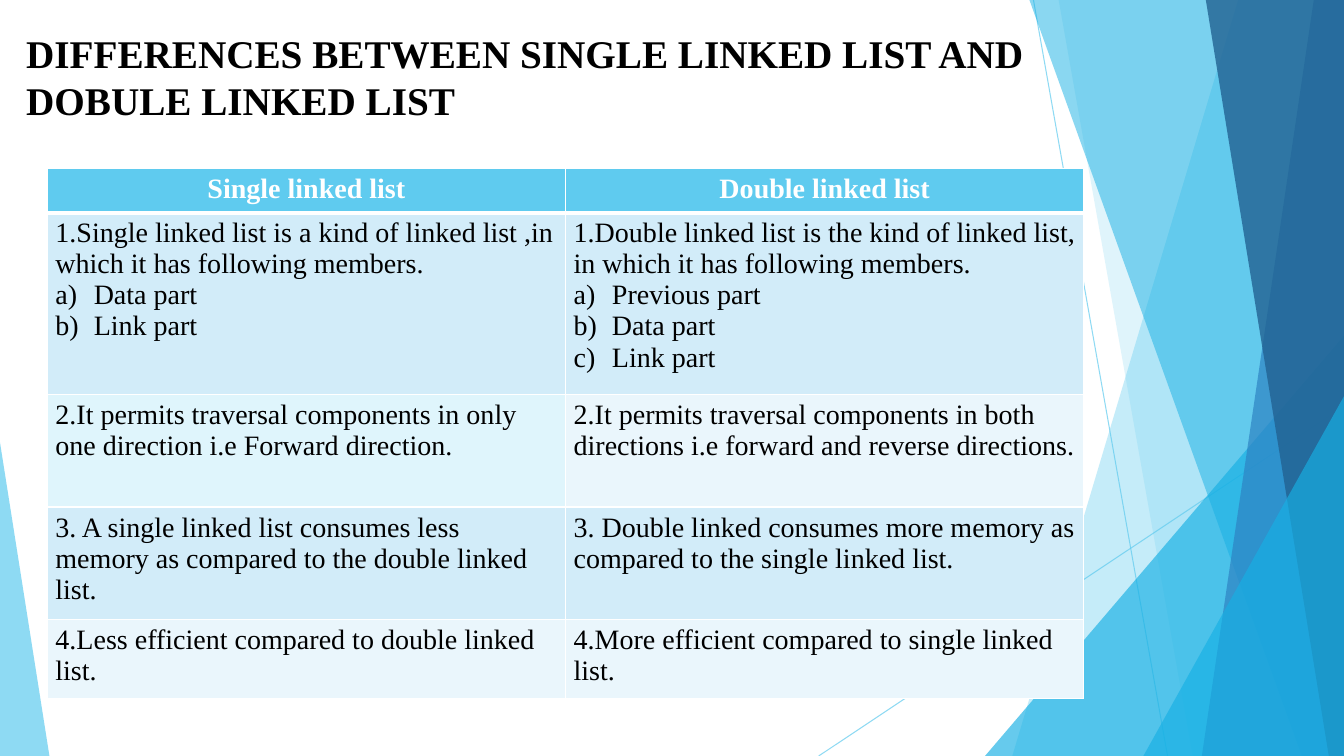
from dataclasses import dataclass

from lxml.etree import SubElement
from pptx import Presentation
from pptx.dml.color import RGBColor
from pptx.enum.shapes import MSO_CONNECTOR as Connector, MSO_SHAPE as Preset
from pptx.enum.text import MSO_ANCHOR as Anchor, MSO_AUTO_SIZE as AutoSize, PP_ALIGN as Align
from pptx.oxml.ns import qn
from pptx.util import Inches, Pt

BLACK = RGBColor(0x00, 0x00, 0x00)
WHITE = RGBColor(0xFF, 0xFF, 0xFF)
SKY = RGBColor(0x5F, 0xCB, 0xEF)
CYAN = RGBColor(0x17, 0xB0, 0xE4)
BLUE = RGBColor(0x2E, 0x83, 0xC3)
NAVY = RGBColor(0x22, 0x62, 0x92)
BAND_DARK = RGBColor(0xD2, 0xEC, 0xF9)
BAND_LIGHT = RGBColor(0xEA, 0xF6, 0xFC)
BAND_AQUA = RGBColor(0xDF, 0xF5, 0xFC)
FONT = "Times New Roman"
WIDTH, HEIGHT = 13.33, 7.5


@dataclass
class Ray:
    start: tuple[float, float]
    end: tuple[float, float]


@dataclass
class Shard:
    top_left: float
    bottom_left: float
    color: RGBColor
    opacity: int


@dataclass
class Triangle:
    left: float
    top: float
    width: float
    apex: float
    color: RGBColor
    opacity: int


@dataclass
class Entry:
    text: str
    fill: RGBColor
    members: tuple[str, ...] = ()


RAYS = [Ray((10.25, 0), (11.58, HEIGHT)), Ray((WIDTH, 4.03), (8.12, HEIGHT))]
FACETS = [
    Shard(12.28, 10.04, SKY, 36),
    Shard(10.5, 11.83, SKY, 20),
    Triangle(9.77, 3.33, 3.56, 1, CYAN, 66),
    Shard(10.21, 12.91, CYAN, 50),
    Shard(13.03, 11.92, BLUE, 70),
    Shard(11.96, 13.18, NAVY, 80),
    Triangle(11.34, 3.93, 1.99, 1, CYAN, 66),
    Triangle(0, 4.39, 0.49, 0, SKY, 70),
]
HEADINGS = ["Single linked list", "Double linked list"]
ROW_HEIGHTS = [0.44, 1.8, 1.12, 1.12, 0.78]
ENTRIES = [
    [
        Entry("1.Single linked list is a kind of linked list ,in which it has following members.",
              BAND_DARK, ("Data part", "Link part")),
        Entry("1.Double linked list is the kind of linked list, in which it has following members.",
              BAND_DARK, ("Previous part", "Data part", "Link part")),
    ],
    [
        Entry("2.It permits traversal components in only one direction i.e Forward direction.", BAND_AQUA),
        Entry("2.It permits traversal components in both directions i.e forward and reverse directions.",
              BAND_LIGHT),
    ],
    [
        Entry("3. A single linked list consumes less memory as compared to the double linked list.", BAND_DARK),
        Entry("3. Double linked consumes more memory as compared to the single linked list.", BAND_DARK),
    ],
    [
        Entry("4.Less efficient compared to double linked list.", BAND_LIGHT),
        Entry("4.More efficient compared to single linked list.", BAND_LIGHT),
    ],
]


def set_opacity(fill_parent, opacity: int) -> None:
    color = next(fill_parent.iter(qn("a:srgbClr")))
    SubElement(color, qn("a:alpha"), val=str(opacity * 1000))


def draw_ray(page, ray: Ray) -> None:
    line = page.shapes.add_connector(
        Connector.STRAIGHT, *(Inches(value) for value in (*ray.start, *ray.end)))
    line.line.color.rgb = SKY
    line.line.width = Pt(0.75)
    properties = line.element.spPr
    set_opacity(properties, 70)
    SubElement(properties, qn("a:effectLst"))


def draw_facet(page, facet: Shard | Triangle) -> None:
    if isinstance(facet, Shard):
        builder = page.shapes.build_freeform(Inches(facet.top_left), 0)
        corners = [(WIDTH, 0), (WIDTH, HEIGHT), (facet.bottom_left, HEIGHT)]
        builder.add_line_segments([(Inches(x), Inches(y)) for x, y in corners])
        shape = builder.convert_to_shape()
    else:
        shape = page.shapes.add_shape(
            Preset.ISOSCELES_TRIANGLE, Inches(facet.left), Inches(facet.top),
            Inches(facet.width), Inches(HEIGHT - facet.top))
        shape.adjustments[0] = facet.apex
    shape.shadow.inherit = False
    shape.fill.solid()
    shape.fill.fore_color.rgb = facet.color
    shape.line.fill.background()
    set_opacity(shape.element.spPr, facet.opacity)


def add_span(para, text: str, size: float, color: RGBColor, bold: bool) -> None:
    span = para.add_run()
    span.text = text
    span.font.name = FONT
    span.font.size = Pt(size)
    span.font.bold = bold
    span.font.color.rgb = color


def write_title(page, text: str) -> None:
    title = page.shapes.title
    title.left, title.top = Inches(0.16), Inches(0.24)
    title.width, title.height = Inches(11.72), Inches(1.25)
    title.element.getparent().append(title.element)
    frame = title.text_frame
    frame.word_wrap = True
    frame.auto_size = AutoSize.NONE
    frame.vertical_anchor = Anchor.TOP
    para = frame.paragraphs[0]
    para.alignment = Align.LEFT
    add_span(para, text, 28, BLACK, True)


def style_cell(cell, fill: RGBColor, bottom: float = 1, top: float = 1) -> None:
    cell.margin_left = cell.margin_right = Inches(0.08)
    cell.margin_top = cell.margin_bottom = Inches(0.05)
    properties = cell._tc.get_or_add_tcPr()
    for side, width in (("L", 1), ("R", 1), ("T", top), ("B", bottom)):
        border = SubElement(properties, qn(f"a:ln{side}"), w=str(Pt(width)))
        SubElement(SubElement(border, qn("a:solidFill")), qn("a:srgbClr"), val=str(WHITE))
    cell.fill.solid()
    cell.fill.fore_color.rgb = fill


def write_entry(cell, entry: Entry) -> None:
    frame = cell.text_frame
    add_span(frame.paragraphs[0], entry.text, 20, BLACK, False)
    for member in entry.members:
        para = frame.add_paragraph()
        properties = para._p.get_or_add_pPr()
        properties.set("marL", str(Inches(0.38)))
        properties.set("indent", str(-Inches(0.38)))
        SubElement(properties, qn("a:buFont"), typeface=FONT)
        SubElement(properties, qn("a:buAutoNum"), type="alphaLcParenR")
        add_span(para, member, 20, BLACK, False)


def draw_comparison(page) -> None:
    table = page.shapes.add_table(
        len(ROW_HEIGHTS), len(HEADINGS), Inches(0.47), Inches(1.67),
        Inches(10.28), Inches(sum(ROW_HEIGHTS))).table
    for row, height in zip(table.rows, ROW_HEIGHTS):
        row.height = Inches(height)
    for column, heading in enumerate(HEADINGS):
        cell = table.cell(0, column)
        style_cell(cell, SKY, bottom=3)
        para = cell.text_frame.paragraphs[0]
        para.alignment = Align.CENTER
        add_span(para, heading, 20, WHITE, True)
    for row, entries in enumerate(ENTRIES, start=1):
        for column, entry in enumerate(entries):
            cell = table.cell(row, column)
            style_cell(cell, entry.fill, top=3 if row == 1 else 1)
            write_entry(cell, entry)


def main() -> None:
    deck = Presentation()
    deck.slide_width, deck.slide_height = Inches(WIDTH), Inches(HEIGHT)
    page = deck.slides.add_slide(deck.slide_layouts[5])
    for ray in RAYS:
        draw_ray(page, ray)
    for facet in FACETS:
        draw_facet(page, facet)
    write_title(page, "DIFFERENCES BETWEEN SINGLE LINKED LIST AND DOBULE LINKED LIST")
    draw_comparison(page)
    deck.save("out.pptx")


if __name__ == "__main__":
    main()
